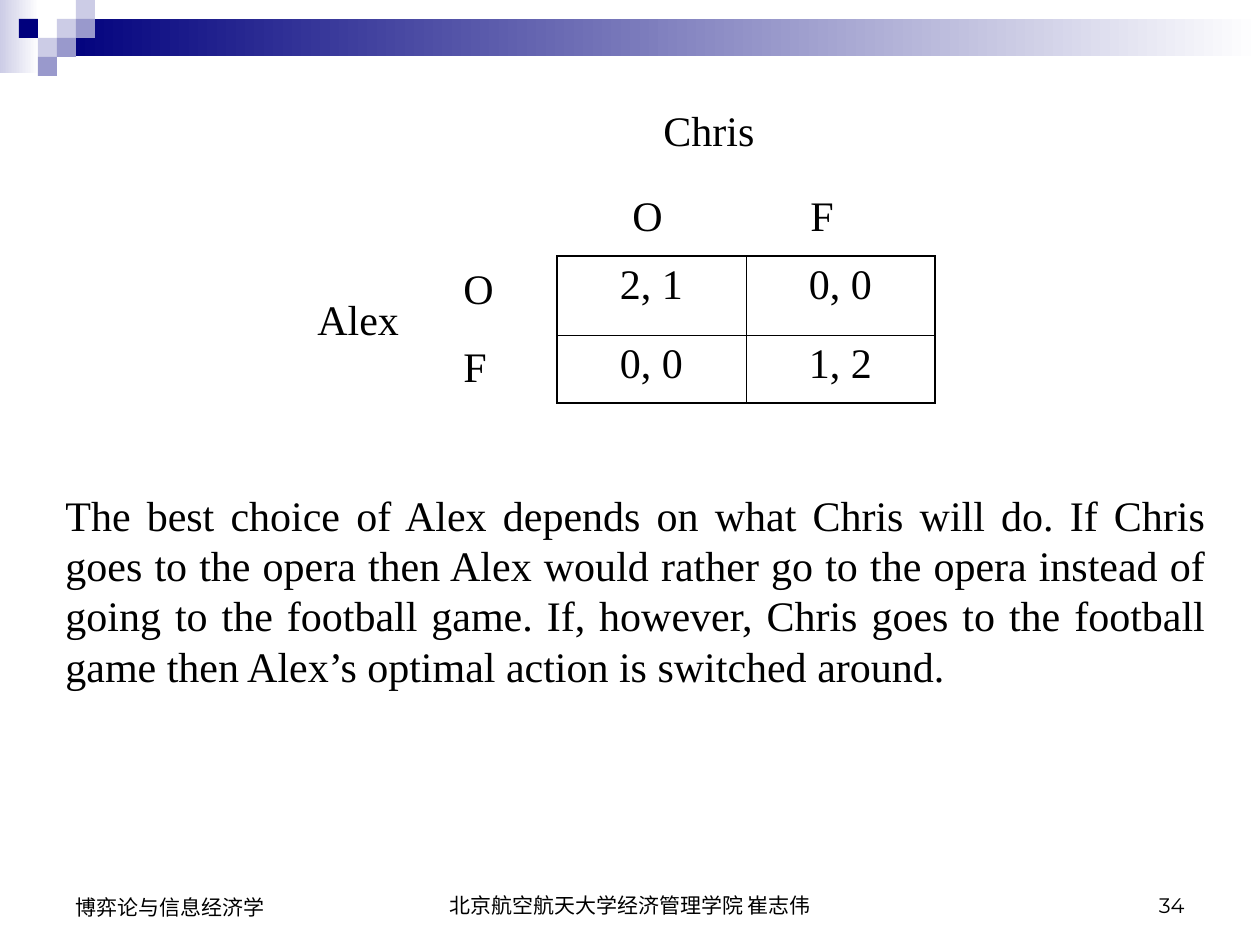
from lxml.etree import SubElement
from pptx import Presentation
from pptx.dml.color import RGBColor
from pptx.enum.shapes import MSO_SHAPE
from pptx.enum.text import MSO_ANCHOR, PP_ALIGN
from pptx.oxml.ns import qn
from pptx.util import Emu, Pt

SCALE = 914400 / 126
SERIF = "Times New Roman"
NAVY, LILAC, VIOLET = "00007D", "CCCCE6", "9999CC"
SQUARE = 19
THICK, THIN = 1.08, 0.45


def px(n):
    return Emu(round(n * SCALE))


def color(value):
    return RGBColor.from_string(value)


def set_font(p, name, size):
    p.font.name = name
    p.font.size = Pt(size)
    p.font.color.rgb = color("000000")


def add_block(slide, x, y, w, h):
    sp = slide.shapes.add_shape(MSO_SHAPE.RECTANGLE, px(x), px(y), px(w), px(h))
    sp.shadow.inherit = False
    sp.line.fill.background()
    return sp


def add_fade(slide, x, y, w, h, start):
    fill = add_block(slide, x, y, w, h).fill
    fill.gradient()
    fill.gradient_angle = 0
    for stop, value in zip(fill.gradient_stops, (start, "FFFFFF")):
        stop.color.rgb = color(value)


def add_square(slide, col, row, value):
    fill = add_block(slide, col * SQUARE, row * SQUARE, SQUARE, SQUARE).fill
    fill.solid()
    fill.fore_color.rgb = color(value)


def add_text(slide, text, x, y, w, h, name=SERIF, size=24,
             align=PP_ALIGN.LEFT, anchor=MSO_ANCHOR.TOP, spacing=Pt(28.8)):
    tf = slide.shapes.add_textbox(px(x), px(y), px(w), px(h)).text_frame
    tf.word_wrap = True
    tf.vertical_anchor = anchor
    p = tf.paragraphs[0]
    p.text = text
    p.alignment = align
    p.line_spacing = spacing
    set_font(p, name, size)


def set_borders(cell, widths):
    tc_pr = cell._tc.get_or_add_tcPr()
    for i, (side, width) in enumerate(zip("LRTB", widths)):
        ln = SubElement(tc_pr, qn(f"a:ln{side}"), w=str(Pt(width)))
        fill = SubElement(ln, qn("a:solidFill"))
        SubElement(fill, qn("a:srgbClr"), val="000000")
        tc_pr.insert(i, ln)


def add_payoffs(slide, rows, x, y, col_width, heights):
    table = slide.shapes.add_table(
        2, 2, px(x), px(y), px(2 * col_width), px(sum(heights))).table
    table.first_row = False
    table.horz_banding = False
    for column in table.columns:
        column.width = px(col_width)
    for r, (row, height) in enumerate(zip(rows, heights)):
        table.rows[r].height = px(height)
        for c, text in enumerate(row):
            cell = table.cell(r, c)
            cell.fill.background()
            p = cell.text_frame.paragraphs[0]
            p.text = text
            p.alignment = PP_ALIGN.CENTER
            set_font(p, SERIF, 24)
            outer = (c == 0, c == 1, r == 0, r == 1)
            set_borders(cell, [THICK if edge else THIN for edge in outer])


def main():
    prs = Presentation()
    prs.slide_width, prs.slide_height = px(1260), px(945)
    slide = prs.slides.add_slide(prs.slide_layouts[6])

    add_fade(slide, 0, 0, 39, 73, LILAC)
    add_fade(slide, 57, 19, 1203, 37, NAVY)
    for col, row, value in [(3, 1, LILAC), (4, 0, LILAC), (4, 1, VIOLET),
                            (2, 2, LILAC), (1, 1, NAVY), (3, 2, VIOLET),
                            (2, 3, VIOLET)]:
        add_square(slide, col, row, value)

    for text, x, w, name, align in [
            ("博弈论与信息经济学", 63, 294, "Arial", PP_ALIGN.LEFT),
            ("北京航空航天大学经济管理学院 崔志伟", 431, 399, "Arial", PP_ALIGN.CENTER),
            ("34", 903, 294, "Montserrat", PP_ALIGN.RIGHT)]:
        h = 65 if align == PP_ALIGN.LEFT else 63
        add_text(slide, text, x, 861, w, h, name, 12, align,
                 MSO_ANCHOR.BOTTOM, None)

    add_payoffs(slide, [("2, 1", "0, 0"), ("0, 0", "1, 2")],
                557, 256, 189, (79, 68))
    for text, x, y, w in [("Chris", 651, 98, 231), ("Alex", 305, 287, 136),
                          ("O", 620, 183, 63), ("F", 798, 183, 73),
                          ("O", 451, 256, 63), ("F", 451, 334, 73)]:
        add_text(slide, text, x, y, w, 63)

    add_text(slide, "The best choice of Alex depends on what Chris will do. "
             "If Chris goes to the opera then Alex would rather go to the opera "
             "instead of going to the football game. If, however, Chris goes to "
             "the football game then Alex’s optimal action is switched around.",
             53, 483, 1165, 214, align=PP_ALIGN.JUSTIFY)

    prs.save("out.pptx")


if __name__ == "__main__":
    main()
